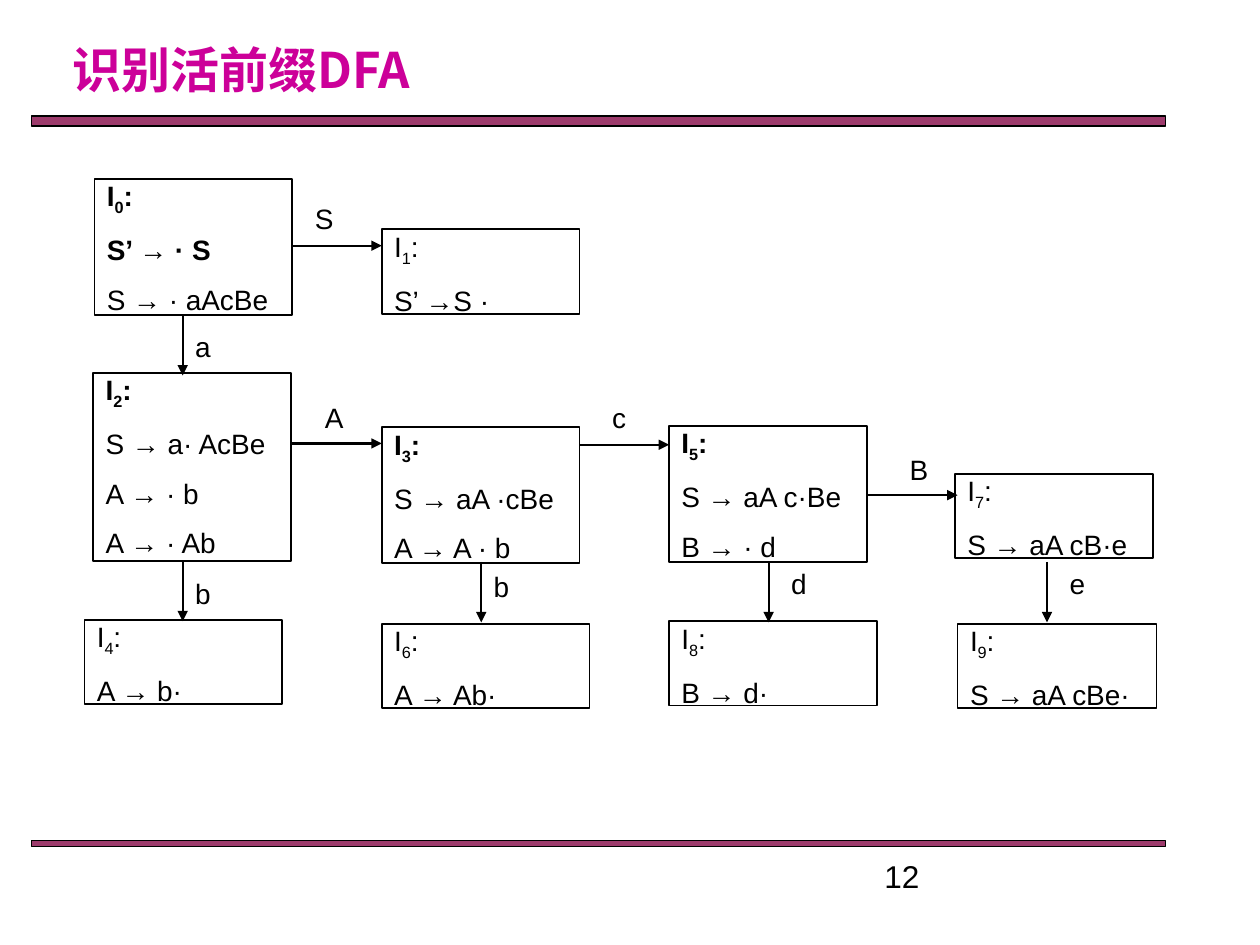
from pptx import Presentation
from pptx.dml.color import RGBColor
from pptx.enum.shapes import MSO_CONNECTOR as CONN, MSO_SHAPE as SHAPE
from pptx.enum.text import MSO_ANCHOR as ANCHOR, PP_ALIGN as ALIGN
from pptx.oxml.ns import qn
from pptx.util import Inches, Pt
from lxml import etree

BLACK = RGBColor(0x00, 0x00, 0x00)
PLUM = RGBColor(0x99, 0x33, 0x66)
MAGENTA = RGBColor(0xCC, 0x00, 0x99)

STATES = [
    ("0", 0.08, 0, 1.57, 2, ["S’ → · S", "S → · aAcBe"]),
    ("1", 2.36, 0.4, 1.57, 0, ["S’ →S ·"]),
    ("2", 0.07, 1.54, 1.57, 1, ["S → a· AcBe", "A → · b", "A → · Ab"]),
    ("3", 2.36, 1.97, 1.57, 1, ["S → aA ·cBe", "A → A · b"]),
    ("4", 0, 3.5, 1.57, 0, ["A → b·"]),
    ("5", 4.64, 1.96, 1.57, 1, ["S → aA c·Be", "B → · d"]),
    ("6", 2.36, 3.53, 1.65, 0, ["A → Ab·"]),
    ("7", 6.91, 2.34, 1.57, 0, ["S → aA cB·e"]),
    ("8", 4.64, 3.51, 1.65, 0, ["B → d·"]),
    ("9", 6.93, 3.53, 1.58, 0, ["S → aA cBe·"]),
]
ACROSS = [
    ("S", 1.65, 0.53, 1.73, 0.13),
    ("A", 1.65, 2.1, 1.81, 1.71),
    ("c", 3.93, 2.11, 4.09, 1.71),
    ("B", 6.22, 2.51, 6.45, 2.12),
]
DOWN = [
    ("a", 0.78, 1.08, 0.78, 1.15),
    ("b", 0.78, 3.03, 0.78, 3.11),
    ("b", 3.15, 3.04, 3.15, 3.05),
    ("d", 5.43, 3.04, 5.51, 3.03),
    ("e", 7.64, 3.04, 7.72, 3.03),
]


def add_run(p, text, size=16, font="Arial", color=BLACK, bold=False, baseline=0):
    r = p.add_run()
    r.text = text
    r.font.size, r.font.name, r.font.bold = Pt(size), font, bold
    r.font.color.rgb = color
    rPr = r.font._element
    etree.SubElement(rPr, qn("a:ea")).set("typeface", font)
    if baseline:
        rPr.set("baseline", str(baseline * 1000))


def add_text(s, text, left, top, width, height, align=ALIGN.LEFT, anchor=ANCHOR.TOP, **fmt):
    tf = s.shapes.add_textbox(Inches(left), Inches(top), Inches(width), Inches(height)).text_frame
    tf.word_wrap = True
    tf.vertical_anchor = anchor
    tf.paragraphs[0].alignment = align
    add_run(tf.paragraphs[0], text, **fmt)


def add_rect(s, left, top, width, height, line_width):
    sp = s.shapes.add_shape(SHAPE.RECTANGLE, Inches(left), Inches(top), Inches(width), Inches(height))
    sp.shadow.inherit = False
    sp.fill.background()
    sp.line.color.rgb = BLACK
    sp.line.width = Pt(line_width)
    return sp


def add_bar(s, left, top, width, height):
    sp = add_rect(s, left, top, width, height, 0.75)
    sp.fill.solid()
    sp.fill.fore_color.rgb = PLUM
    color = sp._element.spPr.find(qn("a:solidFill"))[0]
    etree.SubElement(color, qn("a:alpha")).set("val", "96000")


def add_arrow(s, x1, y1, x2, y2):
    line = s.shapes.add_connector(CONN.STRAIGHT, Inches(x1), Inches(y1), Inches(x2), Inches(y2))
    line.line.color.rgb = BLACK
    line.line.width = Pt(1.25)
    etree.SubElement(line.line._get_or_add_ln(), qn("a:tailEnd")).set("type", "triangle")
    etree.SubElement(line._element.spPr, qn("a:effectLst"))


def add_state(s, left, top, width, number, bold_lines, items):
    height = 0.41 * (len(items) + 1) - 0.15
    tf = add_rect(s, left, top, width, height, 1).text_frame
    tf.margin_left = tf.margin_right = Inches(0.1)
    tf.margin_top = tf.margin_bottom = 0
    tf.word_wrap = True
    tf.vertical_anchor = ANCHOR.TOP
    p = tf.paragraphs[0]
    p.alignment = ALIGN.LEFT
    for text, baseline in (("I", 0), (number, -25), (":", 0)):
        add_run(p, text, bold=bold_lines > 0, baseline=baseline)
    for i, item in enumerate(items, 1):
        p = tf.add_paragraph()
        p.alignment = ALIGN.LEFT
        p.space_before = Pt(9)
        add_run(p, item, bold=i < bold_lines)


def add_diagram(s, left, top):
    for number, x, y, width, bold_lines, items in STATES:
        add_state(s, left + x, top + y, width, number, bold_lines, items)
    for edges, dx, dy in ((ACROSS, 0.71, 0), (DOWN, 0, 0.48)):
        for symbol, x, y, label_x, label_y in edges:
            add_arrow(s, left + x, top + y, left + x + dx, top + y + dy)
            add_text(s, symbol, left + label_x, top + label_y, 0.31, 0.37)


def add_header(s, left, top, width):
    add_bar(s, left, top + 0.67, width, 0.08)
    add_text(s, "识别活前缀DFA", left - 0.67, top, 4.67, 0.58, align=ALIGN.CENTER,
             anchor=ANCHOR.BOTTOM, size=28, font="Noto Sans CJK SC", color=MAGENTA, bold=True)


def add_footer(s, left, top, width):
    add_bar(s, left, top, width, 0.05)
    add_text(s, "12", left + width - 2.33, top + 0.08, 2.33, 0.27, size=18)


def main():
    prs = Presentation()
    prs.slide_width, prs.slide_height = Inches(10), Inches(7.5)
    s = prs.slides.add_slide(prs.slide_layouts[6])
    add_header(s, 0.25, 0.25, 9)
    add_diagram(s, 0.67, 1.42)
    add_footer(s, 0.25, 6.67, 9)
    prs.save("out.pptx")


if __name__ == "__main__":
    main()
